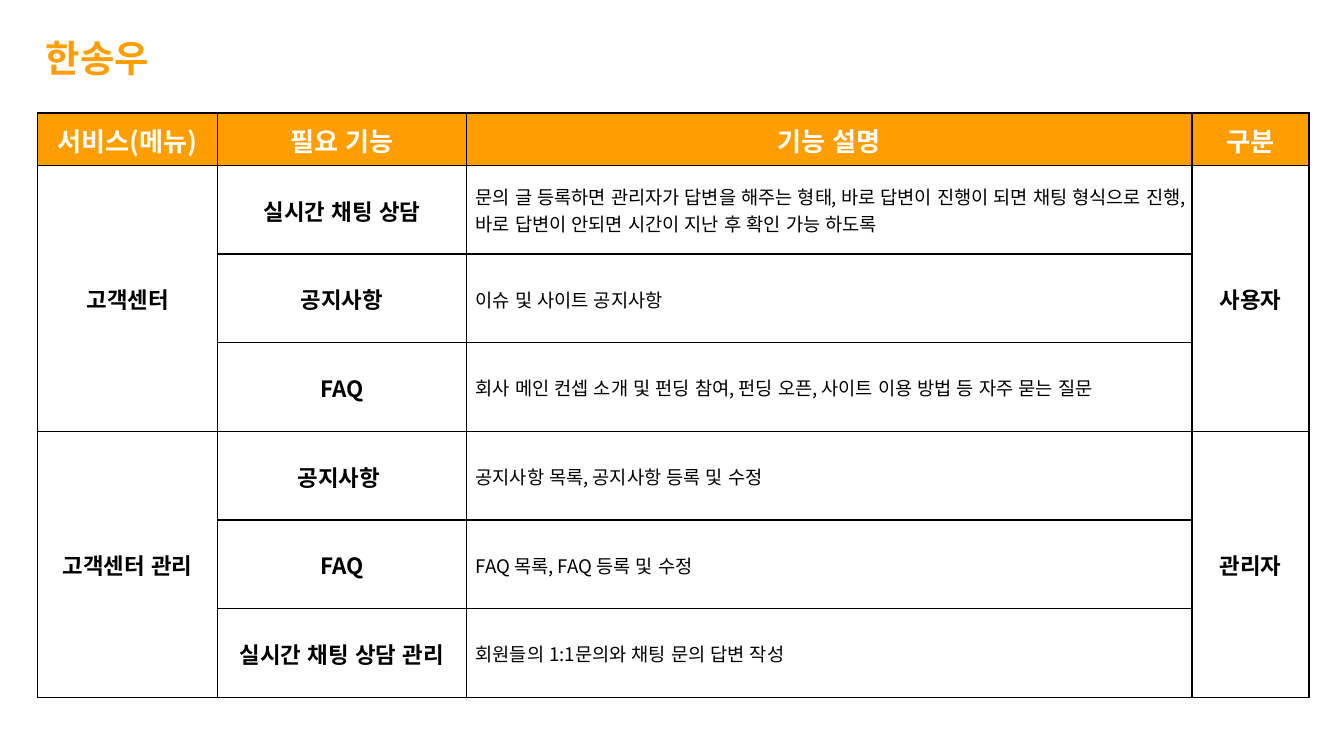
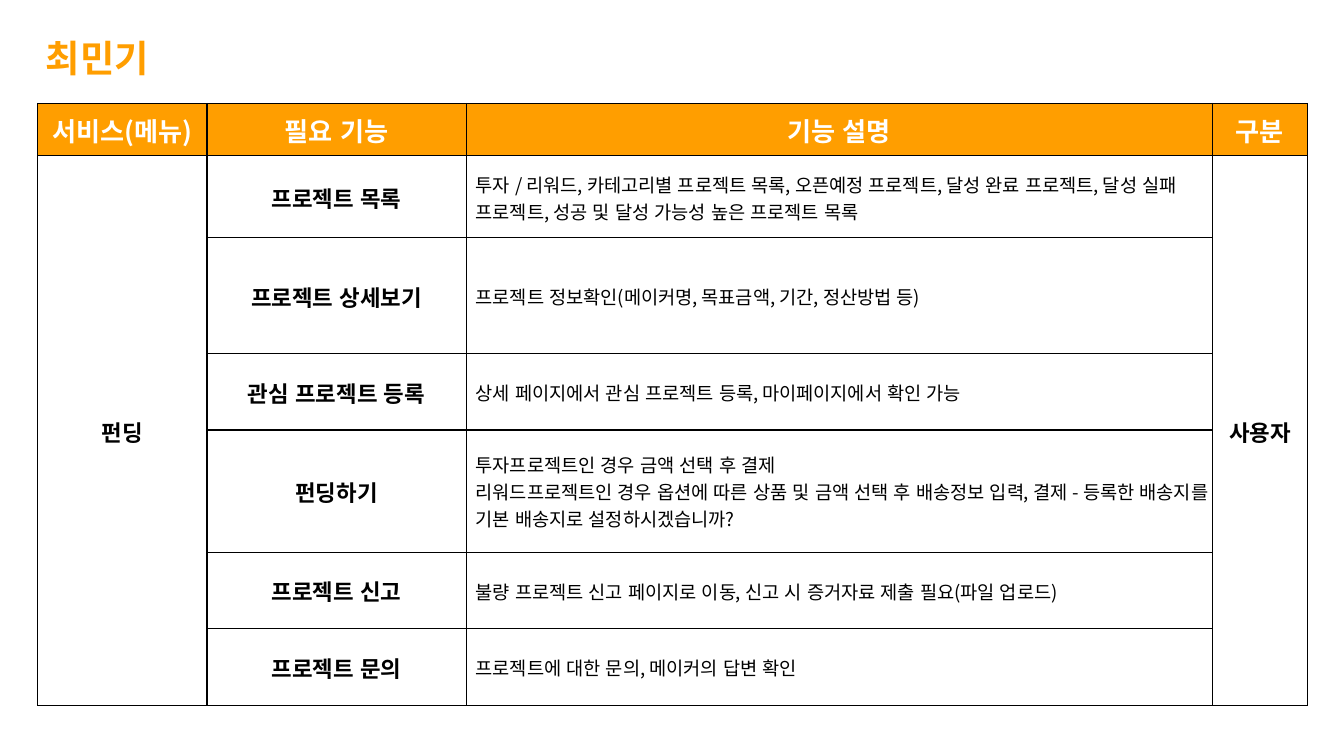
from lxml import etree
from pptx import Presentation
from pptx.dml.color import RGBColor
from pptx.enum.lang import MSO_LANGUAGE_ID
from pptx.enum.shapes import MSO_SHAPE
from pptx.enum.text import MSO_ANCHOR, PP_ALIGN
from pptx.oxml.ns import qn
from pptx.util import Inches, Pt

ORANGE = RGBColor(0xFF, 0x9E, 0x00)
WHITE = RGBColor(0xFF, 0xFF, 0xFF)
BLACK = RGBColor(0x00, 0x00, 0x00)
DARK = RGBColor(0x43, 0x43, 0x43)
FONT = "Noto Sans CJK KR"
LEFT, CENTER = PP_ALIGN.LEFT, PP_ALIGN.CENTER
TOP, MIDDLE = MSO_ANCHOR.TOP, MSO_ANCHOR.MIDDLE
RECTANGLE = MSO_SHAPE.RECTANGLE
KOREAN = MSO_LANGUAGE_ID.KOREAN
TITLE_ONLY = 5
DESCRIPTION_COLUMN = 2
HEADINGS = ["서비스(메뉴)", "필요 기능", "기능 설명", "구분"]

SUPPORT_GROUPS = [
    ("고객센터", "사용자", [
        ("실시간 채팅 상담", "문의 글 등록하면 관리자가 답변을 해주는 형태, 바로 답변이 진행이 되면 "
                      "채팅 형식으로 진행, 바로 답변이 안되면 시간이 지난 후 확인 가능 하도록"),
        ("공지사항", "이슈 및 사이트 공지사항"),
        ("FAQ", "회사 메인 컨셉 소개 및 펀딩 참여, 펀딩 오픈, 사이트 이용 방법 등 자주 묻는 질문"),
    ]),
    ("고객센터 관리", "관리자", [
        ("공지사항 ", "공지사항 목록, 공지사항 등록 및 수정"),
        ("FAQ", "FAQ 목록, FAQ 등록 및 수정"),
        ("실시간 채팅 상담 관리", "회원들의 1:1문의와 채팅 문의 답변 작성"),
    ]),
]

FUNDING_GROUPS = [
    ("펀딩", "사용자", [
        ("프로젝트 목록", "투자 / 리워드, 카테고리별 프로젝트 목록, 오픈예정 프로젝트, "
                    "달성 완료 프로젝트, 달성 실패 프로젝트, 성공 및 달성 가능성 높은 프로젝트 목록"),
        ("프로젝트 상세보기", "프로젝트 정보확인(메이커명, 목표금액, 기간, 정산방법 등)"),
        ("관심 프로젝트 등록", "상세 페이지에서 관심 프로젝트 등록, 마이페이지에서 확인 가능"),
        ("펀딩하기", "투자프로젝트인 경우 금액 선택 후 결제\n"
                 "리워드프로젝트인 경우 옵션에 따른 상품 및 금액 선택 후 배송정보 입력, "
                 "결제 - 등록한 배송지를 기본 배송지로 설정하시겠습니까?"),
        ("프로젝트 신고", "불량 프로젝트 신고 페이지로 이동, 신고 시 증거자료 제출 필요(파일 업로드)"),
        ("프로젝트 문의", "프로젝트에 대한 문의, 메이커의 답변 확인"),
    ]),
]


def write_text(frame, text, size=12, color=BLACK, bold=True, align=CENTER):
    paragraph = frame.paragraphs[0]
    paragraph.text = text
    paragraph.alignment = align
    for run in paragraph.runs:
        font = run.font
        font.size, font.bold, font.name = Pt(size), bold, FONT
        font.color.rgb = color
        font.language_id = KOREAN
        east_asian = etree.Element(qn("a:ea"), typeface=FONT)
        run._r.rPr.find(qn("a:latin")).addnext(east_asian)


def add_borders(cell):
    properties = cell._tc.get_or_add_tcPr()
    for position, side in enumerate(("lnL", "lnR", "lnT", "lnB")):
        line = etree.Element(qn(f"a:{side}"), w=str(Pt(0.75)))
        fill = etree.SubElement(line, qn("a:solidFill"))
        etree.SubElement(fill, qn("a:srgbClr"), val=str(BLACK))
        properties.insert(position, line)


def format_cell(cell, row, column):
    is_description = row > 0 and column == DESCRIPTION_COLUMN
    cell.vertical_anchor = MIDDLE
    cell.margin_left = Inches(0.07 if is_description else 0.01)
    cell.margin_top = cell.margin_right = Inches(0.01)
    cell.margin_bottom = 0
    if row == 0:
        cell.fill.solid()
        cell.fill.fore_color.rgb = ORANGE
    else:
        cell.fill.background()
    add_borders(cell)


def add_feature_table(slide, left, top, widths, heights, groups):
    table = slide.shapes.add_table(
        len(heights), len(widths), Inches(left), Inches(top),
        Inches(sum(widths)), Inches(sum(heights))).table
    table.first_row = table.horz_banding = False
    for column, width in zip(table.columns, widths):
        column.width = Inches(width)
    for table_row, height in zip(table.rows, heights):
        table_row.height = Inches(height)
    for row in range(len(heights)):
        for column in range(len(widths)):
            format_cell(table.cell(row, column), row, column)

    for column, heading in enumerate(HEADINGS):
        write_text(table.cell(0, column).text_frame, heading, size=14, color=WHITE)
    first = 1
    for service, audience, features in groups:
        last = first + len(features) - 1
        for column, label in ((0, service), (3, audience)):
            table.cell(first, column).merge(table.cell(last, column))
            write_text(table.cell(first, column).text_frame, label)
        for row, (feature, description) in enumerate(features, first):
            write_text(table.cell(row, 1).text_frame, feature)
            write_text(table.cell(row, DESCRIPTION_COLUMN).text_frame, description,
                       size=10, bold=False, align=LEFT)
        first = last + 1


def add_background(slide, width, height):
    slide.background.fill.solid()
    slide.background.fill.fore_color.rgb = DARK
    page = slide.shapes.add_shape(RECTANGLE, 0, 0, width, height)
    page.shadow.inherit = False
    page.fill.solid()
    page.fill.fore_color.rgb = WHITE
    page.line.fill.background()
    slide.shapes.element.insert(2, page.element)


def place_title(slide, left, top, owner):
    title = slide.shapes.title
    title.left, title.top = Inches(left), Inches(top)
    title.width, title.height = Inches(1.22), Inches(0.44)
    title.text_frame.vertical_anchor = TOP
    title.text_frame.word_wrap = True
    write_text(title.text_frame, owner, size=20, color=ORANGE, align=LEFT)


def add_feature_slide(deck, owner, top, widths, heights, groups):
    slide = deck.slides.add_slide(deck.slide_layouts[TITLE_ONLY])
    add_background(slide, deck.slide_width, deck.slide_height)
    place_title(slide, 0.24, 0.21, owner)
    add_feature_table(slide, 0.28, top, widths, heights, groups)


def main():
    deck = Presentation()
    deck.slide_width = Inches(10)
    deck.slide_height = deck.slide_width * 9 // 16
    add_feature_slide(deck, "한송우", 0.84, [1.34, 1.85, 5.4, 0.87],
                      [0.39] + [0.66] * 6, SUPPORT_GROUPS)
    add_feature_slide(deck, "최민기", 0.77, [1.26, 1.93, 5.55, 0.71],
                      [0.39, 0.61, 0.86, 0.57, 0.91, 0.57, 0.57], FUNDING_GROUPS)
    deck.save("out.pptx")


if __name__ == "__main__":
    main()
